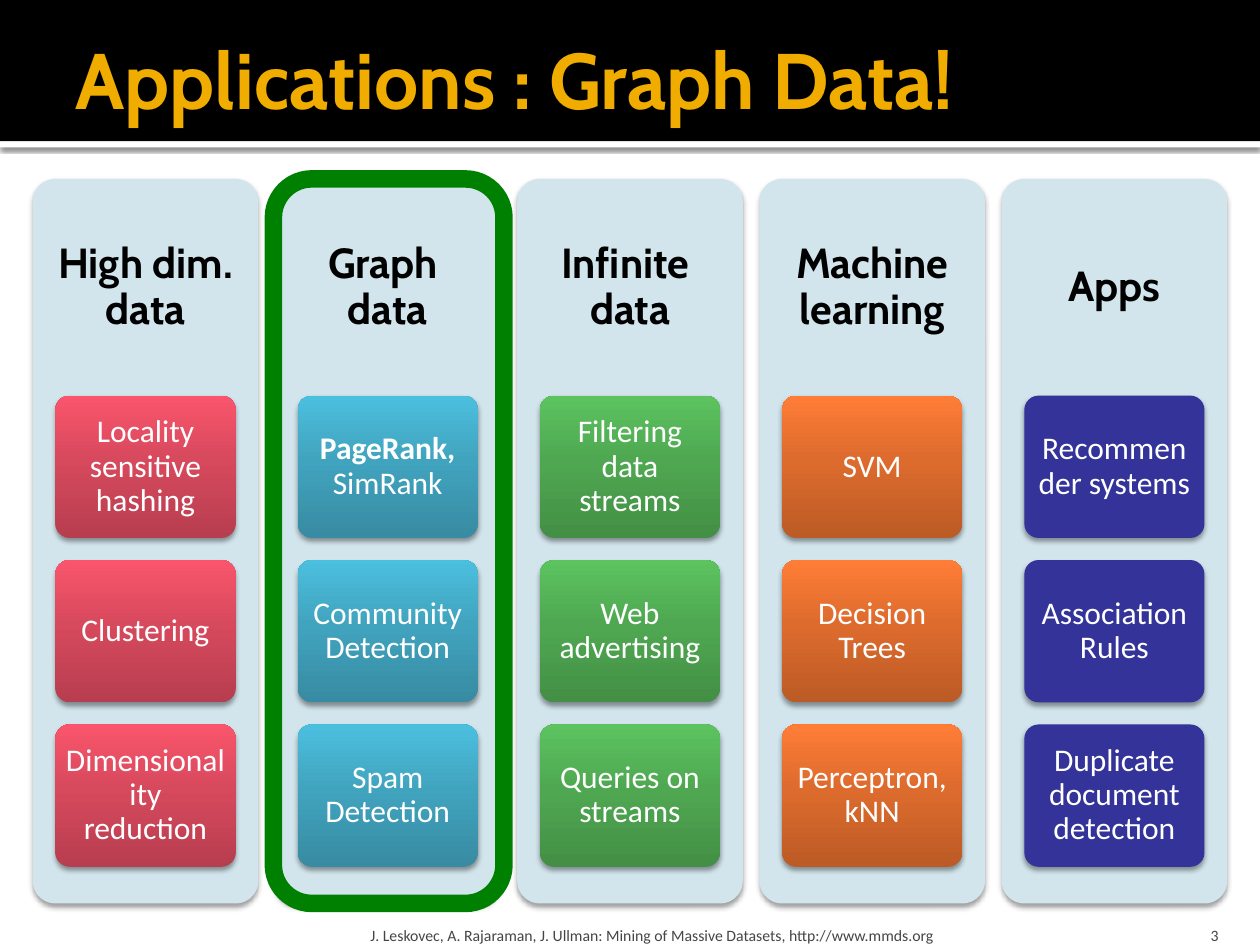
from lxml.etree import SubElement
from pptx import Presentation
from pptx.dml.color import RGBColor
from pptx.enum.shapes import MSO_SHAPE as Shape
from pptx.enum.text import MSO_ANCHOR as Anchor, PP_ALIGN as Align
from pptx.oxml.ns import qn
from pptx.util import Inches, Pt

LEFT, STEP, WIDE = 0.26, 1.9225, 1.79
TOP, TALL, HEAD = 1.42, 5.75, 1.73
CARD_W, CARD_H, CARD_TOP, CARD_STEP = 1.43, 1.13, 3.14, 1.305

# Heading, card fill (dark, middle, light or one colour), cards
COLUMNS = [
    ("High dim. data", ("B73E4F", "D7495D", "FA556C"),
     ["Locality sensitive hashing", "Clustering", "Dimensionality reduction"]),
    ("Graph \vdata", ("378BA2", "41A4BF", "4BBFDE"),
     [("PageRank, ", "SimRank"), "Community Detection", "Spam Detection"]),
    ("Infinite \vdata", ("438F45", "4FA851", "5CC35F"),
     ["Filtering data streams", "Web advertising", "Queries on streams"]),
    ("Machine learning", ("BC5B26", "DD6B2D", "FF7D37"),
     ["SVM", "Decision Trees", "Perceptron, kNN"]),
    ("Apps", ("333399",),
     ["Recommender systems", "Association Rules",
      "Duplicate document detection"]),
]


def paint(color, code):
    color.rgb = RGBColor.from_string(code)


def write(frame, text, size=18, face="Calibri", color="FFFFFF", bold=False,
          align=Align.CENTER, anchor=Anchor.MIDDLE, pad=(0.1, 0.1, 0.1, 0.1),
          space=None):
    """Fill a frame; a (lead, rest) pair gives a bold lead-in."""
    frame.word_wrap = True
    frame.vertical_anchor = anchor
    (frame.margin_left, frame.margin_top,
     frame.margin_right, frame.margin_bottom) = map(Inches, pad)
    par = frame.paragraphs[0]
    par.alignment = align
    par.line_spacing = space
    lead, rest = text if isinstance(text, tuple) else ("", text)
    par.text = lead + rest if not lead else lead
    if lead:
        par.add_run().text = rest
    for i, run in enumerate(par.runs):
        font = run.font
        font.size, font.name = Pt(size), face
        font.bold = bold or bool(lead and i == 0)
        paint(font.color, color)


def label(slide, box, text, **form):
    area = slide.shapes.add_textbox(*map(Inches, box))
    write(area.text_frame, text, **form)


def block(slide, kind, box, fill=None, round_by=None):
    shape = slide.shapes.add_shape(kind, *map(Inches, box))
    shape.shadow.inherit = False
    shape.line.fill.background()
    if round_by is not None:
        shape.adjustments[0] = round_by
    if fill is None:
        shape.fill.background()
    elif len(fill) == 1:
        shape.fill.solid()
        paint(shape.fill.fore_color, fill[0])
    else:
        blend(shape, fill)
    return shape


def blend(shape, codes):
    """Three-stop gradient that runs from the bottom up."""
    shape.fill.gradient()
    shape.fill.gradient_angle = 90
    stops = shape._element.spPr.find(".//" + qn("a:gsLst"))
    for stop in list(stops):
        stops.remove(stop)
    for spot, code in zip((0, 55, 100), codes):
        stop = SubElement(stops, qn("a:gs"), pos=str(spot * 1000))
        SubElement(stop, qn("a:srgbClr"), val=code)


def shade(shape, alpha=38, blur=3.1, dist=2):
    """Drop a black shadow straight down."""
    effect = shape._element.spPr.find(qn("a:effectLst"))
    outer = SubElement(effect, qn("a:outerShdw"), blurRad=str(Pt(blur)),
                       dist=str(Pt(dist)), dir="5400000", algn="t",
                       rotWithShape="0")
    tint = SubElement(outer, qn("a:srgbClr"), val="000000")
    SubElement(tint, qn("a:alpha"), val=str(alpha * 1000))


def header(slide, text):
    rule = block(slide, Shape.RECTANGLE, (0, 1.12, 10, 0.05), ("FFFFFF",))
    shade(rule, alpha=60, blur=2.5, dist=0.8)
    block(slide, Shape.RECTANGLE, (0, 0, 10, 1.12), ("000000",))
    title = slide.shapes.title
    title.left, title.top, title.width, title.height = map(
        Inches, (0.5, 0.08, 9, 1.08))
    write(title.text_frame, text, size=45, face="Cabin", color="F0AD00",
          bold=True, align=Align.LEFT, pad=(0.1, 0.05, 0.05, 0.05))
    slide.shapes._spTree.append(title._element)  # in front of the bar


def column(slide, left, name, fill, cards):
    panel = block(slide, Shape.ROUNDED_RECTANGLE, (left, TOP, WIDE, TALL),
                  ("D2E5EC",), 0.1)
    shade(panel)
    label(slide, (left, TOP, WIDE, HEAD), name, size=24, face="Cabin",
          color="000000", bold=True, space=0.9)
    for row, text in enumerate(cards):
        box = (left + (WIDE - CARD_W) / 2, CARD_TOP + row * CARD_STEP,
               CARD_W, CARD_H)
        card = block(slide, Shape.ROUNDED_RECTANGLE, box, fill, 0.1)
        shade(card)
        write(card.text_frame, text, pad=(0.05, 0.04, 0.05, 0.04), space=0.9)


def footer(slide):
    form = dict(size=9, color="454545", anchor=Anchor.BOTTOM)
    label(slide, (2.89, 7.2, 6.02, 0.3),
          "J. Leskovec, A. Rajaraman, J. Ullman: Mining of Massive Datasets, "
          "http://www.mmds.org",
          align=Align.LEFT, pad=(0.05, 0.05, 0.05, 0), **form)
    label(slide, (8.97, 7.2, 0.8, 0.3), "3",
          align=Align.RIGHT, pad=(0.1, 0.05, 0.1, 0), **form)


def main():
    deck = Presentation()
    deck.slide_width, deck.slide_height = Inches(10), Inches(7.5)
    slide = deck.slides.add_slide(deck.slide_layouts[5])
    header(slide, "Applications : Graph Data!")
    for i, (name, fill, cards) in enumerate(COLUMNS):
        column(slide, LEFT + i * STEP, name, fill, cards)
    footer(slide)
    ring = block(slide, Shape.ROUNDED_RECTANGLE, (2.17, TOP, 1.83, TALL))
    paint(ring.line.color, "008000") if ring.line.fill.solid() else None
    ring.line.fill.solid()
    paint(ring.line.color, "008000")
    ring.line.width = Pt(10)
    deck.save("out.pptx")


if __name__ == "__main__":
    main()
